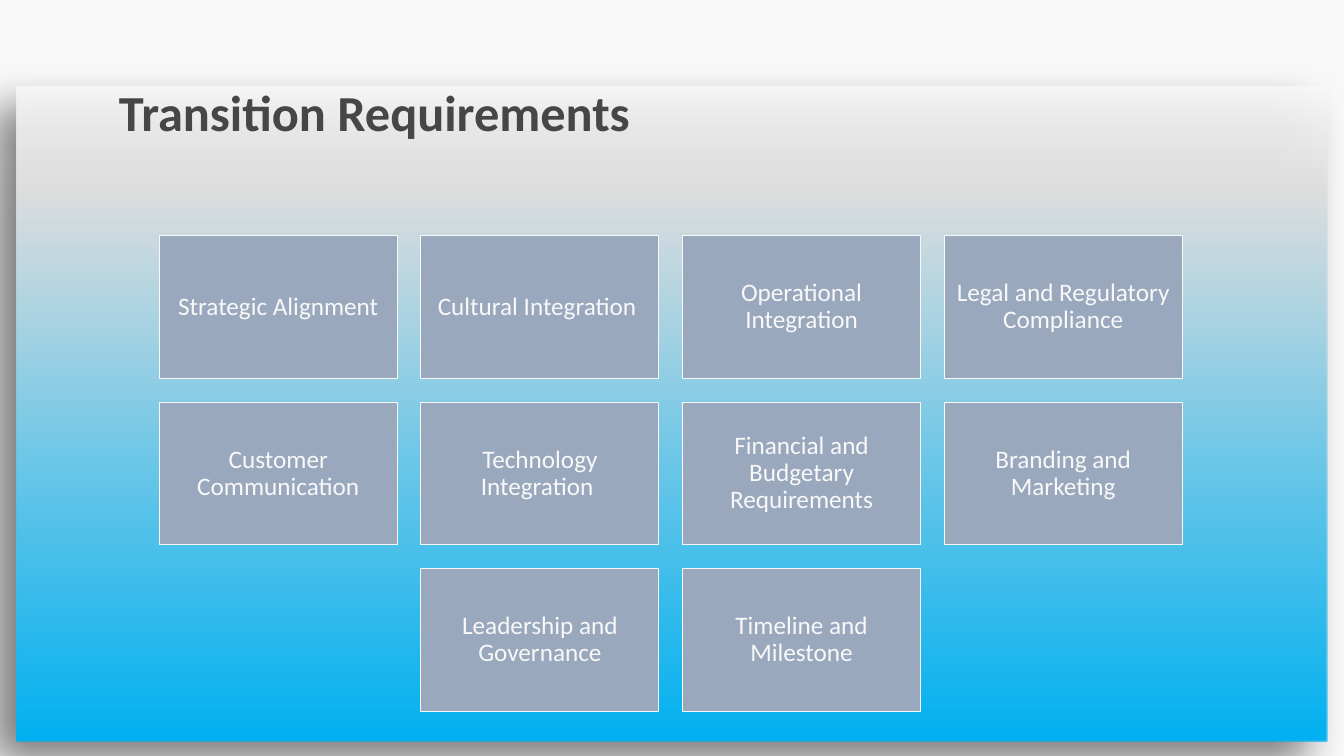
from pptx import Presentation
from pptx.dml.color import RGBColor
from pptx.enum.shapes import MSO_SHAPE as Shape
from pptx.enum.text import MSO_ANCHOR as Anchor, PP_ALIGN as Align
from pptx.oxml import parse_xml
from pptx.oxml.ns import nsdecls
from pptx.util import Inches, Pt

TITLE = "Transition Requirements"
REQUIREMENTS = [
    ["Strategic Alignment", "Cultural Integration ", "Operational Integration",
     "Legal and Regulatory Compliance"],
    ["Customer Communication", "Technology Integration ",
     "Financial and Budgetary Requirements", "Branding and Marketing"],
    ["Leadership and Governance", "Timeline and Milestone"],
]
GRADIENT = [(0, "F8F8F8", 90), (16, "DDDDDD", 100), (37, "A6D2E2", 100),
            (56, "6FC7E7", 100), (100, "00B0F0", 100)]
LIGHT, DARK, CARD = "F8F8F8", "464646", "99A8BD"
GRID_LEFT, GRID_TOP, GRID_WIDTH = 3.16, 4.68, 20.29
CARD_WIDTH, CARD_HEIGHT, GAP = 4.72, 2.83, 0.47


def color(value):
    return RGBColor.from_string(value)


def add_rectangle(slide, left, top, width, height):
    shape = slide.shapes.add_shape(
        Shape.RECTANGLE, Inches(left), Inches(top), Inches(width), Inches(height))
    shape.shadow.inherit = False
    return shape


def write_text(shape, text, size, ink, bold=False, align=Align.LEFT, inset=(0.1, 0.05)):
    frame = shape.text_frame
    frame.word_wrap = True
    frame.vertical_anchor = Anchor.MIDDLE
    frame.margin_left = frame.margin_right = Inches(inset[0])
    frame.margin_top = frame.margin_bottom = Inches(inset[1])
    paragraph = frame.paragraphs[0]
    paragraph.alignment = align
    paragraph.line_spacing = 0.9
    run = paragraph.add_run()
    run.text = text
    run.font.name = "Calibri"
    run.font.size = Pt(size)
    run.font.bold = bold
    run.font.color.rgb = color(ink)


def add_panel(slide):
    panel = add_rectangle(slide, 0.32, 1.72, 26.01, 12.99)
    panel.line.fill.background()
    stops = "".join(
        f'<a:gs pos="{position * 1000}"><a:srgbClr val="{value}">'
        f'<a:alpha val="{alpha * 1000}"/></a:srgbClr></a:gs>'
        for position, value, alpha in GRADIENT)
    properties = panel.element.spPr
    properties.find("{*}prstGeom").addnext(parse_xml(
        f'<a:gradFill {nsdecls("a")} rotWithShape="1"><a:gsLst>{stops}</a:gsLst>'
        '<a:lin ang="5400000" scaled="0"/></a:gradFill>'))
    properties.find("{*}effectLst").append(parse_xml(
        f'<a:outerShdw {nsdecls("a")} blurRad="{Pt(60)}" dist="{Pt(40)}" dir="8100000" '
        'algn="tr" rotWithShape="0"><a:srgbClr val="000000"><a:alpha val="50000"/>'
        '</a:srgbClr></a:outerShdw>'))


def add_cards(slide):
    for row, labels in enumerate(REQUIREMENTS):
        row_width = len(labels) * (CARD_WIDTH + GAP) - GAP
        row_left = GRID_LEFT + (GRID_WIDTH - row_width) / 2
        top = GRID_TOP + row * (CARD_HEIGHT + GAP)
        for column, label in enumerate(labels):
            left = row_left + column * (CARD_WIDTH + GAP)
            card = add_rectangle(slide, left, top, CARD_WIDTH, CARD_HEIGHT)
            card.fill.solid()
            card.fill.fore_color.rgb = color(CARD)
            card.line.color.rgb = color(LIGHT)
            card.line.width = Pt(1.5)
            write_text(card, label, size=36, ink=LIGHT, align=Align.CENTER,
                       inset=(0.18, 0.18))


def main():
    presentation = Presentation()
    presentation.slide_width = Inches(26.66)
    presentation.slide_height = Inches(15)
    slide = presentation.slides.add_slide(presentation.slide_layouts[6])
    slide.background.fill.solid()
    slide.background.fill.fore_color.rgb = color(LIGHT)
    add_panel(slide)
    title = slide.shapes.add_textbox(Inches(2.26), Inches(0.58), Inches(21.74), Inches(3.4))
    write_text(title, TITLE, size=72, ink=DARK, bold=True)
    add_cards(slide)
    presentation.save("out.pptx")


if __name__ == "__main__":
    main()
